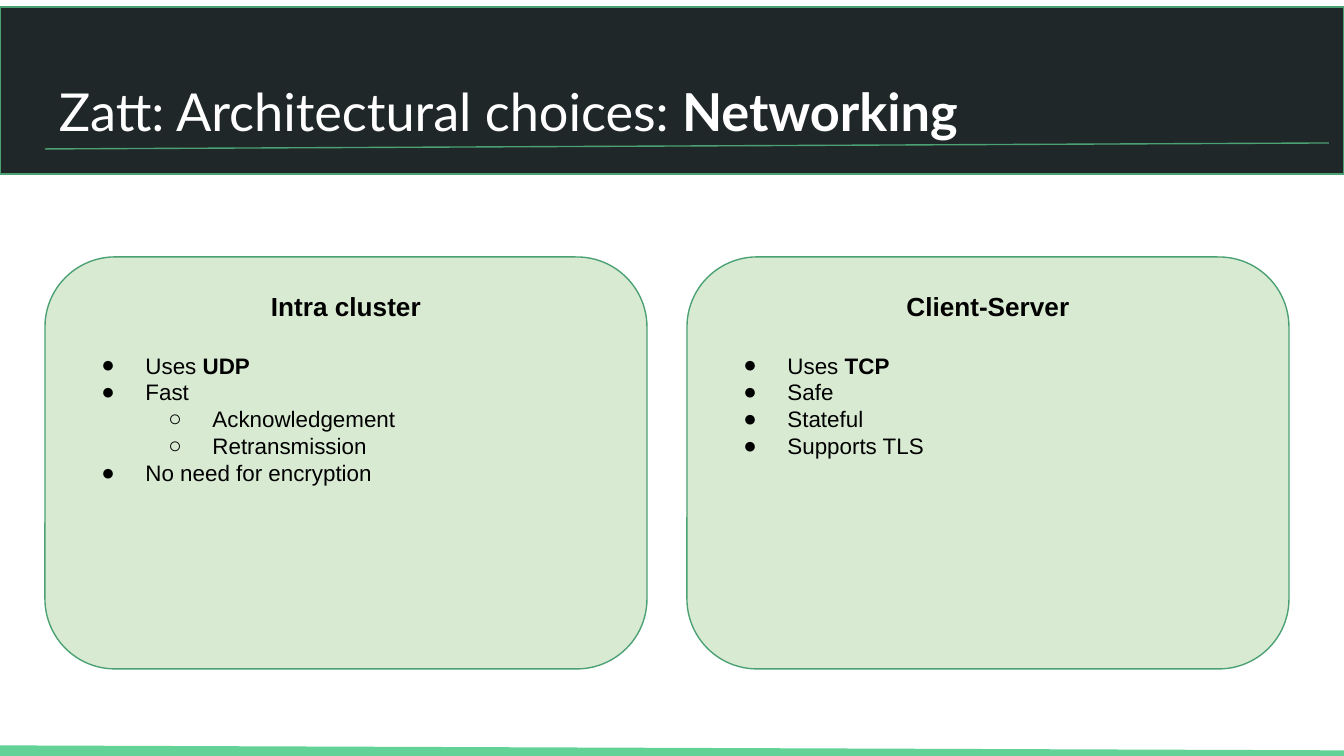
from dataclasses import dataclass

import pptx
import pptx.dml.color
import pptx.enum.shapes
import pptx.enum.text
import pptx.oxml.ns
import pptx.util
from lxml import etree


@dataclass(frozen=True)
class Theme:
    header: str = "202729"
    outline: str = "4BA173"
    footer: str = "63D297"
    card: str = "D9EAD3"
    light: str = "FFFFFF"
    dark: str = "000000"
    title_font: str = "Lato"
    body_font: str = "Arial"
    title_size: int = 28
    heading_size: int = 14
    body_size: int = 12
    thin: float = 0.75
    thick: float = 6


THEME = Theme()

# Runs are (text, bold); bullets are (level, runs).
TITLE = [("Zatt: Architectural choices: ", False), ("Networking", True)]
CARDS = [
    ("Intra cluster", [
        (0, [("Uses ", False), ("UDP", True)]),
        (0, [("Fast", False)]),
        (1, [("Acknowledgement", False)]),
        (1, [("Retransmission", False)]),
        (0, [("No need for encryption", False)]),
    ]),
    ("Client-Server", [
        (0, [("Uses ", False), ("TCP", True)]),
        (0, [("Safe", False)]),
        (0, [("Stateful", False)]),
        (0, [("Supports TLS", False)]),
    ]),
]

# Layout in px
SLIDE_SIZE = (1344, 756)
HEADER_BOX = (0, 7, 1344, 167)
TITLE_BOX = (46, 66, 1253, 85)
TITLE_RULE = (45, 149, 1329, 143)
FOOTER_RULE = (0, 751, 1344, 756)
CARD_LEFT, CARD_TOP, CARD_WIDTH, CARD_HEIGHT, CARD_GAP = 45, 257, 602, 412, 40
CARD_ROUNDING = 0.17
INSET = 13
LEVEL_INDENT, BULLET_HANG = 67, 44
BULLETS = "●○"
EMU_PER_PX = 914400 / 134.4


def px(value):
    return pptx.util.Emu(round(value * EMU_PER_PX))


def rgb(value):
    return pptx.dml.color.RGBColor.from_string(value)


def add_panel(slide, kind, box, fill):
    shape = slide.shapes.add_shape(kind, *map(px, box))
    shape.shadow.inherit = False
    shape.fill.solid()
    shape.fill.fore_color.rgb = rgb(fill)
    shape.line.color.rgb = rgb(THEME.outline)
    shape.line.width = pptx.util.Pt(THEME.thin)
    return shape


def add_rule(slide, ends, color, width):
    line = slide.shapes.add_connector(
        pptx.enum.shapes.MSO_CONNECTOR.STRAIGHT, *map(px, ends))
    line.line.color.rgb = rgb(color)
    line.line.width = pptx.util.Pt(width)
    etree.SubElement(line._element.spPr, pptx.oxml.ns.qn("a:effectLst"))


def prepare_frame(shape):
    frame = shape.text_frame
    frame.word_wrap = True
    frame.vertical_anchor = pptx.enum.text.MSO_ANCHOR.TOP
    frame.margin_left = frame.margin_right = px(INSET)
    frame.margin_top = frame.margin_bottom = px(INSET)
    return frame


def add_bullet(paragraph, level):
    paragraph.level = level
    properties = paragraph._p.get_or_add_pPr()
    properties.set("marL", str(px(LEVEL_INDENT * (level + 1))))
    properties.set("indent", str(px(-BULLET_HANG)))
    qn = pptx.oxml.ns.qn
    color = etree.SubElement(properties, qn("a:buClr"))
    etree.SubElement(color, qn("a:srgbClr"), val=THEME.dark)
    etree.SubElement(properties, qn("a:buFont"), typeface=THEME.body_font)
    etree.SubElement(properties, qn("a:buChar"), char=BULLETS[level])


def write(paragraph, runs, *, size, font, color, centered=False,
          level=None, space_after=0):
    if level is not None:
        add_bullet(paragraph, level)
    align = pptx.enum.text.PP_ALIGN
    paragraph.alignment = align.CENTER if centered else align.LEFT
    paragraph.space_after = pptx.util.Pt(space_after)
    for text, bold in runs:
        run = paragraph.add_run()
        run.text = text
        run.font.size = pptx.util.Pt(size)
        run.font.name = font
        run.font.bold = bold
        run.font.color.rgb = rgb(color)


def add_card(slide, left, heading, bullets):
    card = add_panel(slide, pptx.enum.shapes.MSO_SHAPE.ROUNDED_RECTANGLE,
                     (left, CARD_TOP, CARD_WIDTH, CARD_HEIGHT), THEME.card)
    card.adjustments[0] = CARD_ROUNDING
    frame = prepare_frame(card)
    write(frame.paragraphs[0], [(heading, True)], size=THEME.heading_size,
          font=THEME.body_font, color=THEME.dark, centered=True,
          space_after=16)
    for level, runs in bullets:
        write(frame.add_paragraph(), runs, size=THEME.body_size,
              font=THEME.body_font, color=THEME.dark, level=level)


def main():
    presentation = pptx.Presentation()
    presentation.slide_width, presentation.slide_height = map(px, SLIDE_SIZE)
    slide = presentation.slides.add_slide(presentation.slide_layouts[6])

    add_panel(slide, pptx.enum.shapes.MSO_SHAPE.RECTANGLE, HEADER_BOX,
              THEME.header)
    title = slide.shapes.add_textbox(*map(px, TITLE_BOX))
    write(prepare_frame(title).paragraphs[0], TITLE, size=THEME.title_size,
          font=THEME.title_font, color=THEME.light)
    add_rule(slide, TITLE_RULE, THEME.outline, THEME.thin)
    add_rule(slide, FOOTER_RULE, THEME.footer, THEME.thick)

    for index, (heading, bullets) in enumerate(CARDS):
        left = CARD_LEFT + index * (CARD_WIDTH + CARD_GAP)
        add_card(slide, left, heading, bullets)

    presentation.save("out.pptx")


if __name__ == "__main__":
    main()
